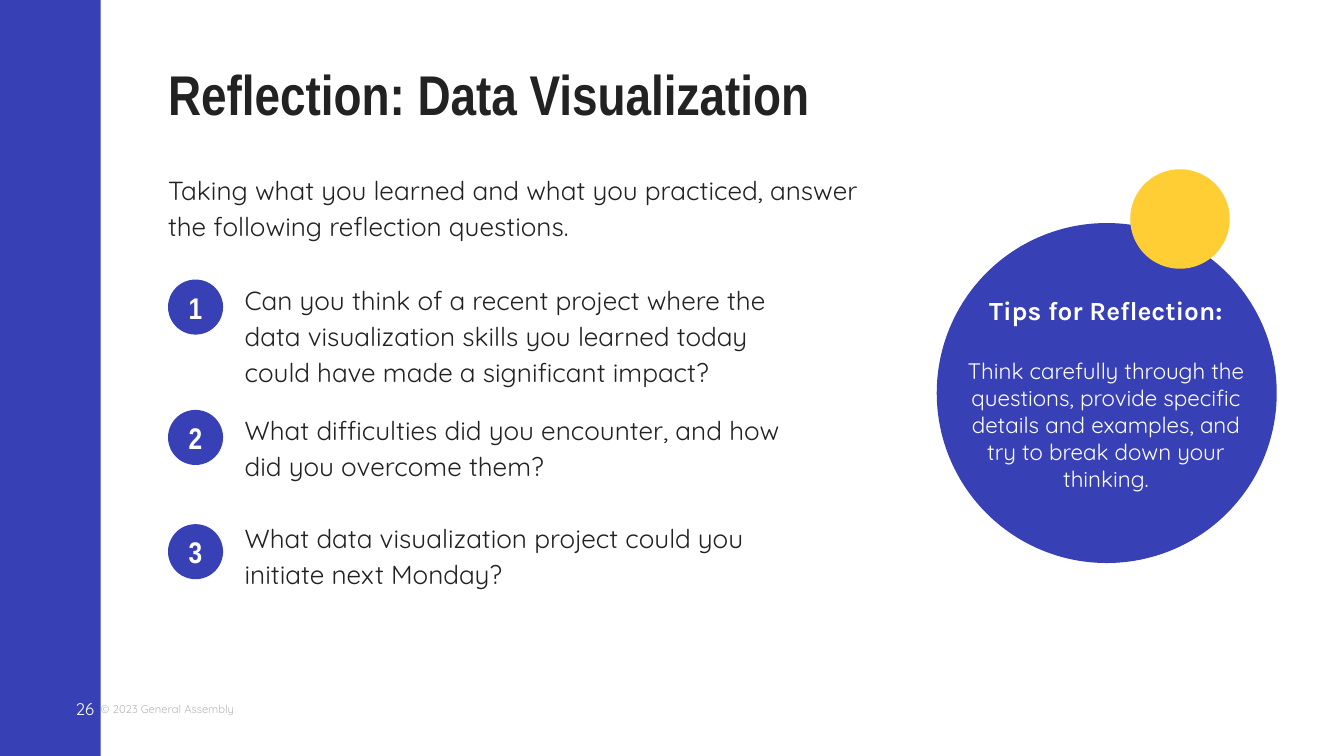
import pptx
import pptx.dml.color
import pptx.enum.shapes
import pptx.enum.text
import pptx.util

Inches = pptx.util.Inches
Pt = pptx.util.Pt
Align = pptx.enum.text.PP_ALIGN
Anchor = pptx.enum.text.MSO_ANCHOR
Preset = pptx.enum.shapes.MSO_SHAPE

WIDTH = 10
HEIGHT = WIDTH * 9 / 16
BLUE, YELLOW, INK, WHITE, GREY = "3740B5", "FFCD34", "222222", "FFFFFF", "B7B7B7"
HEADING, LABEL, BODY = "Arial Narrow", "Karla", "Quicksand"


def color(hex_code):
    return pptx.dml.color.RGBColor.from_string(hex_code)


def write(paragraph, text, font=BODY, size=14, ink=INK, bold=False,
          align=Align.LEFT, spacing=None, after=0):
    paragraph.alignment = align
    paragraph.space_after = Pt(after)
    if spacing:
        paragraph.line_spacing = spacing
    run = paragraph.add_run()
    run.text = text
    run.font.name = font
    run.font.size = Pt(size)
    run.font.bold = bold
    run.font.color.rgb = color(ink)


class ReflectionSlide:
    def __init__(self, deck):
        self.shapes = deck.slides.add_slide(deck.slide_layouts[6]).shapes

    def frame(self, shape, anchor, inset=0):
        frame = shape.text_frame
        frame.word_wrap = True
        frame.vertical_anchor = anchor
        frame.margin_left = frame.margin_right = Inches(inset)
        frame.margin_top = frame.margin_bottom = Inches(inset)
        return frame

    def block(self, preset, left, top, width, height, fill):
        block = self.shapes.add_shape(
            preset, Inches(left), Inches(top), Inches(width), Inches(height))
        block.shadow.inherit = False
        block.fill.solid()
        block.fill.fore_color.rgb = color(fill)
        block.line.fill.background()
        return block

    def circle(self, left, top, diameter, fill):
        return self.block(Preset.OVAL, left, top, diameter, diameter, fill)

    def text(self, left, top, width, height, *paragraphs,
             anchor=Anchor.TOP, inset=0):
        box = self.shapes.add_textbox(
            Inches(left), Inches(top), Inches(width), Inches(height))
        frame = self.frame(box, anchor, inset)
        for index, (words, style) in enumerate(paragraphs):
            paragraph = frame.add_paragraph() if index else frame.paragraphs[0]
            write(paragraph, words, **style)

    def badge(self, left, top, number):
        disc = self.circle(left, top, 0.41, BLUE)
        write(self.frame(disc, Anchor.MIDDLE).paragraphs[0], str(number),
              font=HEADING, size=16, ink=WHITE, bold=True, align=Align.CENTER)


def main():
    deck = pptx.Presentation()
    deck.slide_width, deck.slide_height = Inches(WIDTH), Inches(HEIGHT)
    slide = ReflectionSlide(deck)
    reading = dict(spacing=1.15, after=10)

    # Footer and side band
    slide.text(0.75, 5.17, 1, 0.21,
               ("© 2023 General Assembly", dict(size=6, ink=GREY)),
               anchor=Anchor.MIDDLE)
    slide.block(Preset.RECTANGLE, 0, 0, 0.75, HEIGHT, BLUE)

    # Tips circle
    slide.circle(6.97, 1.66, 2.53, BLUE)
    centred = dict(ink=WHITE, align=Align.CENTER)
    slide.text(7.06, 2.09, 2.34, 1.68,
               ("Tips for Reflection:",
                dict(centred, font=LABEL, bold=True, after=17)),
               ("Think carefully through the questions, provide specific "
                "details and examples, and try to break down your thinking.",
                dict(centred, size=12)),
               inset=0.1)
    slide.circle(8.41, 1.26, 0.74, YELLOW)

    # Title and introduction
    slide.text(1.25, 0.5, 5.25, 0.45,
               ("Reflection: Data Visualization",
                dict(font=HEADING, size=30, bold=True, spacing=0.9)))
    slide.text(1.25, 1.26, 5.25, 0.61,
               ("Taking what you learned and what you practiced, answer "
                "the following reflection questions.", reading))

    # Numbered questions: badge top, text top, wording
    questions = [
        (2.08, 2.08, "Can you think of a recent project where the data "
         "visualization skills you learned today could have made a "
         "significant impact?"),
        (3.05, 3.05, "What difficulties did you encounter, and how did you "
         "overcome them?"),
        (3.9, 3.85, "What data visualization project could you initiate next "
         "Monday?"),
    ]
    for number, (badge_top, text_top, question) in enumerate(questions, 1):
        slide.badge(1.25, badge_top, number)
        slide.text(1.82, text_top, 4.18, 0.5, (question, reading))

    # Page number
    slide.text(0.35, 5.1, 0.35, 0.35,
               ("26", dict(size=9, ink=WHITE, align=Align.RIGHT)),
               anchor=Anchor.MIDDLE)

    deck.save("out.pptx")


if __name__ == "__main__":
    main()
